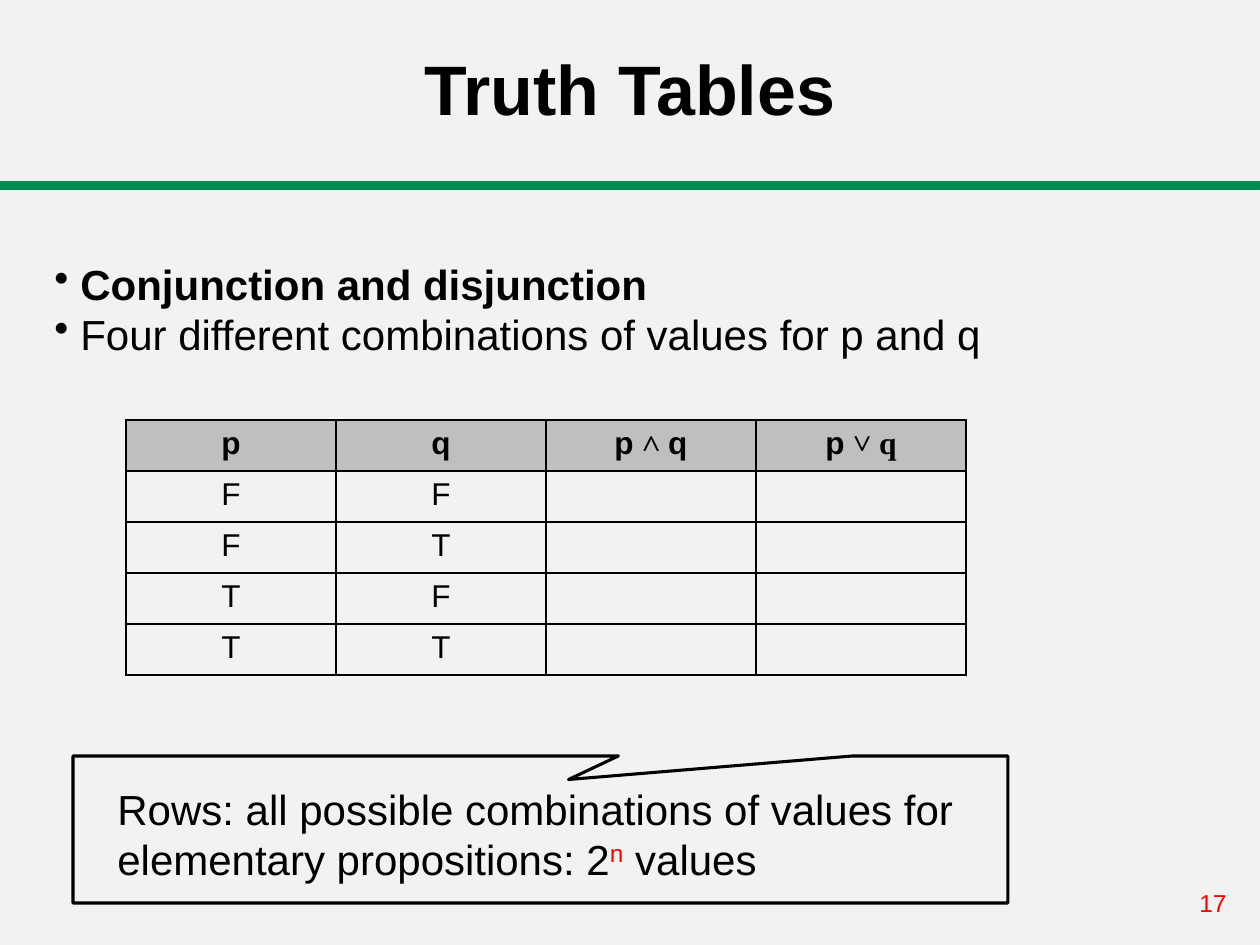
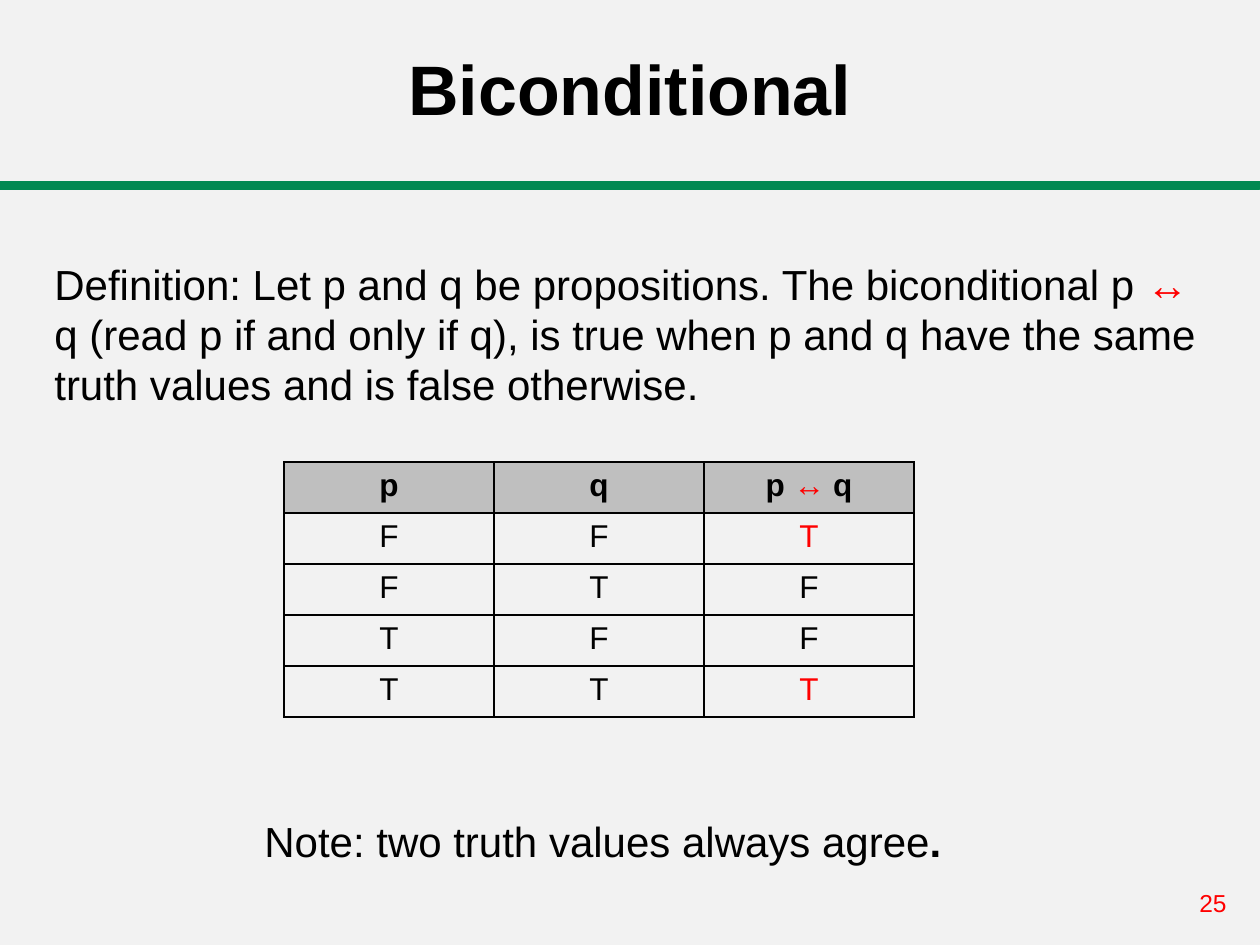
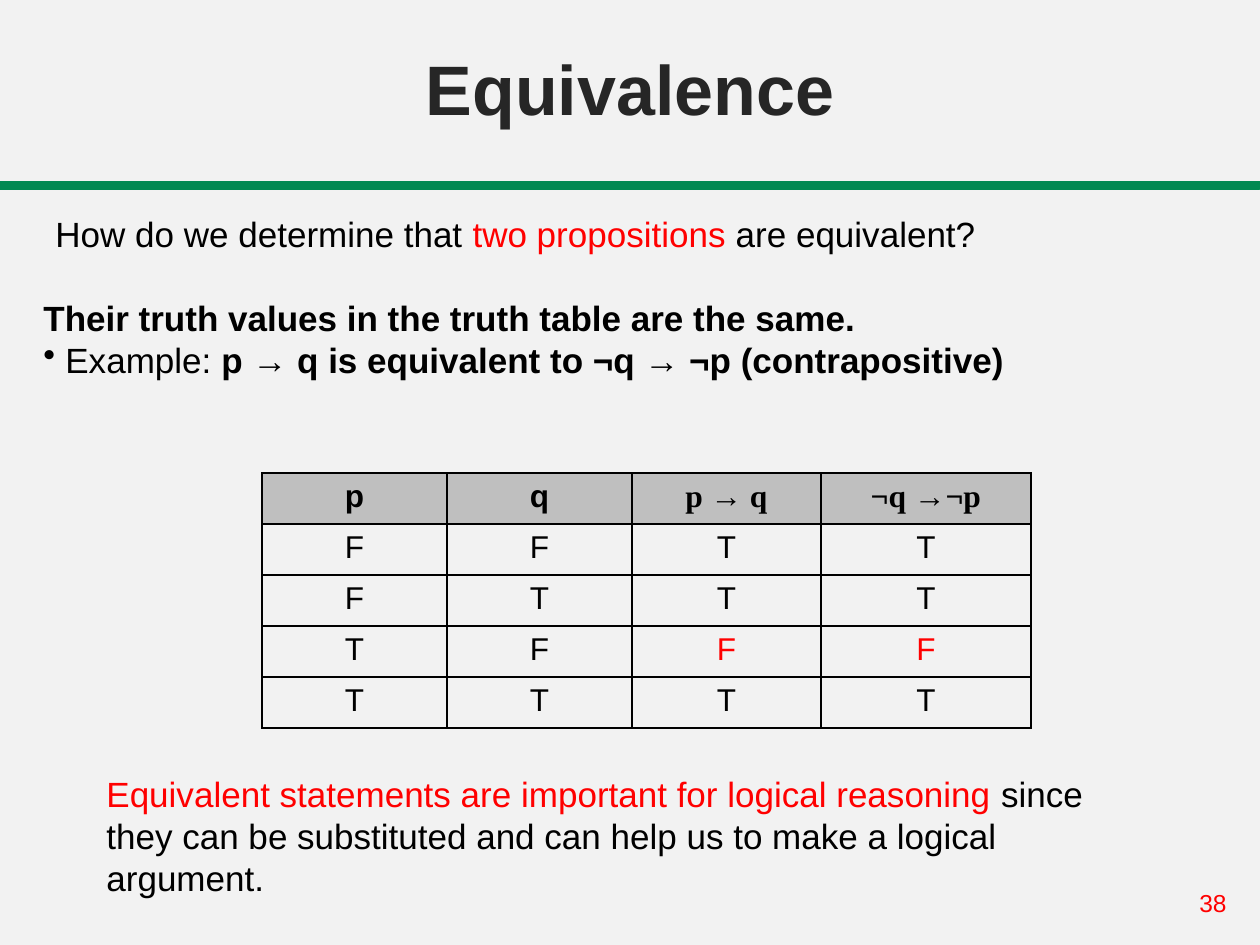
from pptx import Presentation
from pptx.dml.color import RGBColor
from pptx.enum import shapes, text
from pptx.oxml import parse_xml
from pptx.oxml.ns import nsdecls
from pptx import util as u

PX = 7257
BLACK, RED, GREEN = "000000", "FF0000", "018952"
BACKGROUND, HEADER_FILL = "F2F2F2", "BFBFBF"
SANS, SERIF = "Arial", "Times New Roman"
ROW_HEIGHT = 51
color = RGBColor.from_string


def write(paragraph, runs, size, bold=False, ink=BLACK, align=None, font=SANS):
    paragraph.font.name = font
    paragraph.font.size = u.Pt(size)
    paragraph.font.bold = bold
    paragraph.font.color.rgb = color(ink)
    paragraph.alignment = align
    for words, changes in runs:
        run = paragraph.add_run()
        run.text = words
        if "ink" in changes:
            run.font.color.rgb = color(changes["ink"])
        if "bold" in changes:
            run.font.bold = changes["bold"]
        if "font" in changes:
            run.font.name = changes["font"]
        if "raised" in changes:
            run.font._element.set("baseline", str(changes["raised"] * 1000))


def add_text(slide, box, lines, size, **style):
    frame = slide.shapes.add_textbox(*[n * PX for n in box]).text_frame
    frame.word_wrap = True
    for index, runs in enumerate(lines):
        paragraph = frame.add_paragraph() if index else frame.paragraphs[0]
        write(paragraph, runs, size, **style)
    return frame


presentation = Presentation()
presentation.slide_width = u.Inches(10)
presentation.slide_height = u.Inches(7.5)

inputs = ["FF", "FT", "TF", "TT"]
topics = [
    {"title": "Truth Tables", "ink": BLACK, "number": "17",
     "corner": (126, 420), "columns": [210] * 4,
     "results": ["", "", "", ""], "red_rows": [],
     "formulas": [[("p ", {}), ("˄ ", {"font": SERIF}), ("q", {})],
                  [("p ", {}), ("˅ q", {"font": SERIF})]]},
    {"title": "Biconditional", "ink": BLACK, "number": "25",
     "corner": (284, 462), "columns": [210] * 3,
     "results": ["T", "F", "F", "T"], "red_rows": [0, 3],
     "formulas": [[("p ", {}), ("↔ ", {"font": SERIF, "ink": RED}), ("q", {})]]},
    {"title": "Equivalence", "ink": "262626", "number": "38",
     "corner": (262, 473), "columns": [185, 185, 189, 210],
     "results": ["T", "T", "F", "T"], "red_rows": [2],
     "formulas": [[("p → q", {"font": SERIF})], [("¬q →¬p", {"font": SERIF})]]},
]

slides = []
for topic in topics:
    slide = presentation.slides.add_slide(presentation.slide_layouts[6])
    slides.append(slide)
    slide.background.fill.solid()
    slide.background.fill.fore_color.rgb = color(BACKGROUND)

    band = slide.shapes.add_shape(
        shapes.MSO_SHAPE.RECTANGLE, 0, 183 * PX, presentation.slide_width, 6 * PX)
    band.shadow.inherit = False
    band.fill.solid()
    band.fill.fore_color.rgb = color(GREEN)
    band.line.color.rgb = color(GREEN)
    band.line.width = u.Pt(1.75)

    add_text(slide, (1187, 882, 73, 43), [[(topic["number"], {})]], 14, ink=RED)
    title = add_text(slide, (0, 0, 1260, 136), [[(topic["title"], {})]], 40,
                     bold=True, ink=topic["ink"], align=text.PP_ALIGN.CENTER)
    title.vertical_anchor = text.MSO_ANCHOR.BOTTOM

    left, top = topic["corner"]
    columns = topic["columns"]
    table = slide.shapes.add_table(
        5, len(columns), left * PX, top * PX,
        sum(columns) * PX, 5 * ROW_HEIGHT * PX).table
    table.first_row = False
    table.horz_banding = False
    for column, width in zip(table.columns, columns):
        column.width = width * PX

    rows = [[[("p", {})], [("q", {})], *topic["formulas"]]]
    for index, (values, result) in enumerate(zip(inputs, topic["results"])):
        result_ink = RED if index in topic["red_rows"] else BLACK
        result_runs = [(result, {"ink": result_ink})] if result else []
        rows.append([[(value, {})] for value in values]
                    + [result_runs] * len(topic["formulas"]))

    for row_index, row in enumerate(rows):
        table.rows[row_index].height = ROW_HEIGHT * PX
        for column_index, runs in enumerate(row):
            cell = table.cell(row_index, column_index)
            write(cell.text_frame.paragraphs[0], runs, 18,
                  bold=row_index == 0, align=text.PP_ALIGN.CENTER)
            properties = cell._tc.get_or_add_tcPr()
            for side in ("lnL", "lnR", "lnT", "lnB"):
                properties.append(parse_xml(
                    f'<a:{side} {nsdecls("a")} w="12700"><a:solidFill>'
                    f'<a:srgbClr val="{BLACK}"/></a:solidFill></a:{side}>'))
            if row_index == 0:
                cell.fill.solid()
                cell.fill.fore_color.rgb = color(HEADER_FILL)
            else:
                cell.fill.background()

truth_tables, biconditional, equivalence = slides

points = add_text(truth_tables, (42, 252, 1176, 217), [
    [("Conjunction and disjunction", {"bold": True})],
    [("Four different combinations of values for p and q", {})]], 24)

callout = truth_tables.shapes.add_shape(
    shapes.MSO_SHAPE.ROUNDED_RECTANGULAR_CALLOUT,
    73 * PX, 756 * PX, 935 * PX, 147 * PX)
callout.shadow.inherit = False
callout.fill.background()
callout.line.color.rgb = color(BLACK)
callout.line.width = u.Pt(1.75)
for index, value in enumerate((0.03, -0.34, 0)):
    callout.adjustments[index] = value
add_text(truth_tables, (105, 777, 872, 115), [[
    ("Rows: all possible combinations of values for elementary propositions: 2", {}),
    ("n", {"ink": RED, "raised": 30}),
    (" values", {})]], 24)

add_text(biconditional, (42, 252, 1176, 165), [[
    ("Definition: Let p and q be propositions. The biconditional p ", {}),
    ("↔", {"ink": RED}),
    (" q (read p if and only if q), is true when p and q have the same "
     "truth values and is false otherwise.", {})]], 24)
add_text(biconditional, (252, 809, 798, 64), [[
    ("Note: two truth values always agree", {}), (".", {"bold": True})]], 24)

reasoning = add_text(equivalence, (31, 206, 1207, 226), [
    [("How do we determine that ", {}),
     ("two propositions ", {"ink": RED}),
     ("are equivalent?", {})],
    [("Their truth values in the truth table are the same.", {"bold": True})],
    [("Example: ", {}),
     ("p → q is equivalent to ¬q → ¬p (contrapositive)", {"bold": True})]], 20)
question, answer, example = reasoning.paragraphs
question._p.get_or_add_pPr().set("marL", str(12 * PX))
answer.space_before = u.Pt(24)
add_text(equivalence, (94, 766, 1040, 140), [[
    ("Equivalent statements are important for logical reasoning ", {"ink": RED}),
    ("since they can be substituted and can help us to make a logical argument.",
     {})]], 20)

for paragraph, indent in [*((point, 26) for point in points.paragraphs), (example, 22)]:
    properties = paragraph._p.get_or_add_pPr()
    properties.set("marL", str(indent * PX))
    properties.set("indent", str(-indent * PX))
    bullet = parse_xml(f'<a:buChar {nsdecls("a")} char="•"/>')
    properties.insert_element_before(bullet, "a:tabLst", "a:defRPr", "a:extLst")

presentation.save("out.pptx")
